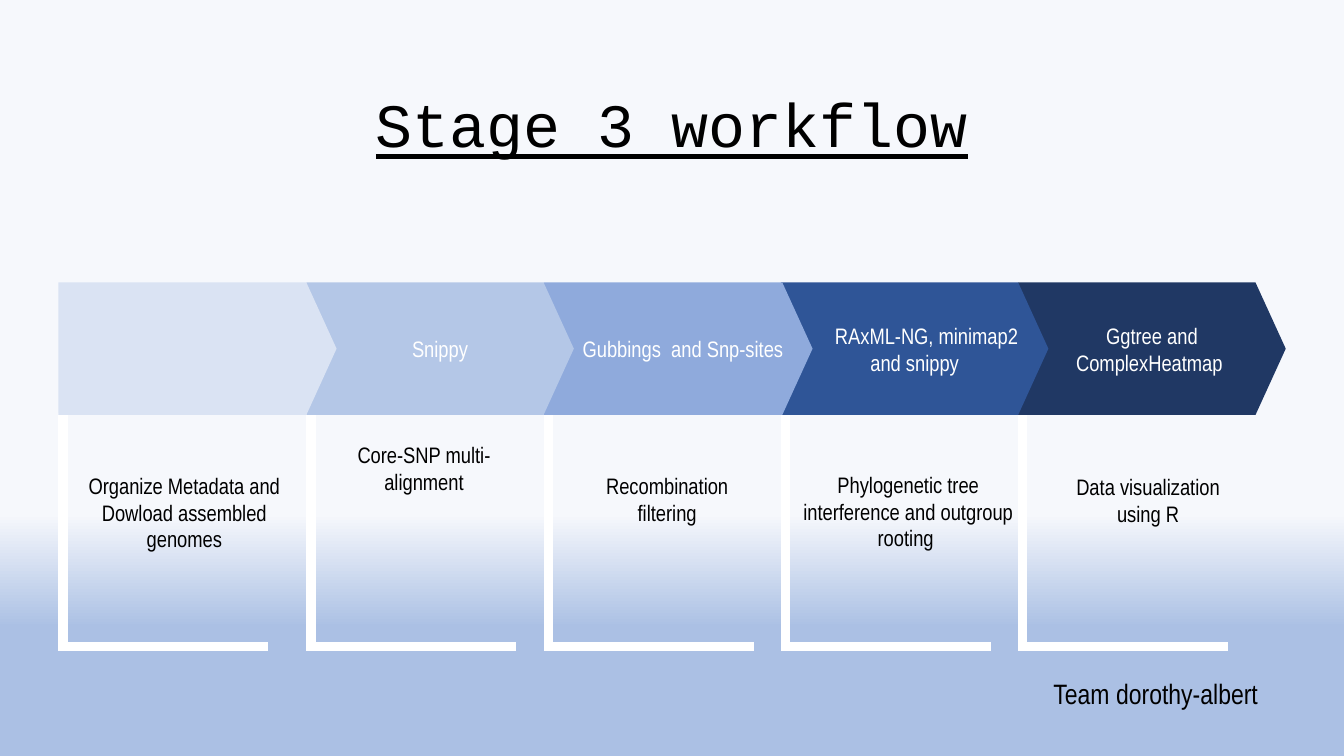
import pptx
import pptx.util
import pptx.dml.color
import pptx.enum.text

Pt = pptx.util.Pt
Align = pptx.enum.text.PP_ALIGN
Anchor = pptx.enum.text.MSO_ANCHOR

COLORS = {
    "sky": "F6F8FC", "haze": "ABC0E4", "white": "FFFFFF", "black": "000000",
    "step1": "DAE3F3", "step2": "B4C7E7", "step3": "8FAADC",
    "step4": "2F5597", "step5": "203864",
}
NARROW = "Arial Narrow"
TITLE = "Stage 3 workflow"
TEAM = "Team dorothy-albert"

STEPS = [
    {"label": "", "indent": 0, "extra": 0,
     "note": "Organize Metadata and Dowload assembled genomes",
     "box": (51.4, 327.6, 160.6, 117.4)},
    {"label": "Snippy", "indent": 0, "extra": 0,
     "note": "Core-SNP multi-alignment",
     "box": (234.5, 306, 136.8, 75.6)},
    {"label": "Gubbings  and Snp-sites", "indent": 7, "extra": 1,
     "note": "Recombination filtering",
     "box": (408.2, 327.6, 136.8, 75.6)},
    {"label": "RAxML-NG, minimap2 and snippy", "indent": 17, "extra": 0,
     "note": "Phylogenetic tree interference and outgroup rooting ",
     "box": (563.8, 326.9, 169.9, 125.3)},
    {"label": "Ggtree and ComplexHeatmap ", "indent": 0, "extra": 0,
     "note": "Data visualization using R",
     "box": (751.7, 328.3, 136.8, 74.9)},
]

FIRST, SECOND, PITCH = 41.6, 218.8, 169.5
EDGES = [FIRST] + [SECOND + PITCH * i for i in range(len(STEPS))]
TOP, HIGH, TIP = 201.7, 94.7, 21.6
STEM, DROP, BASE, REACH, THICK = 295.2, 166.6, 458.5, 150, 6.6
INSET = 9.4


def color(name):
    return pptx.dml.color.RGBColor.from_string(COLORS[name])


def outline(slide, points, fill):
    spots = [(Pt(x), Pt(y)) for x, y in points]
    form = slide.shapes.build_freeform(*spots[0])
    form.add_line_segments(spots[1:], close=True)
    shape = form.convert_to_shape()
    shape.shadow.inherit = False
    shape.fill.solid()
    shape.fill.fore_color.rgb = color(fill)
    shape.line.fill.background()
    return shape


def write(shape, text, size, tint, font=NARROW, align=Align.CENTER,
          anchor=Anchor.TOP, inset=INSET):
    frame = shape.text_frame
    frame.word_wrap = True
    frame.auto_size = pptx.enum.text.MSO_AUTO_SIZE.NONE
    frame.vertical_anchor = anchor
    if inset:
        frame.margin_left = frame.margin_right = Pt(inset)
        frame.margin_top = frame.margin_bottom = Pt(inset)
    para = frame.paragraphs[0]
    para.alignment = align
    run = para.add_run()
    run.text = text
    run.font.name = font
    run.font.size = Pt(size)
    run.font.color.rgb = color(tint)
    return para


def bar(slide, left, top, width, height):
    right, low = left + width, top + height
    outline(slide, [(left, top), (left, low), (right, low), (right, top)],
            "white")


def chevron(slide, index, step):
    left, right = EDGES[index], EDGES[index + 1] + step["extra"]
    low = TOP + HIGH
    shape = outline(slide, [(left, TOP), (left, low), (right, low),
                            (right + TIP, TOP + HIGH / 2), (right, TOP)],
                    f"step{index + 1}")
    if step["label"]:
        para = write(shape, step["label"], 16, "white", anchor=Anchor.MIDDLE)
        if step["indent"]:
            para._p.get_or_add_pPr().set("indent", str(Pt(step["indent"])))


def paint(slide):
    fill = slide.background.fill
    fill.gradient()
    fill.gradient_angle = 270
    for stop, (place, name) in zip(fill.gradient_stops,
                                   [(0.68, "sky"), (0.83, "haze")]):
        stop.position = place
        stop.color.rgb = color(name)


def main():
    deck = pptx.Presentation()
    deck.slide_width, deck.slide_height = Pt(960), Pt(540)
    slide = deck.slides.add_slide(deck.slide_layouts[5])
    paint(slide)

    title = slide.shapes.title
    title.left, title.top = Pt(32.8), Pt(57.6)
    title.width, title.height = Pt(894.2), Pt(60.5)
    para = write(title, TITLE, 44, "black", font="Courier New")
    para.line_spacing = 0.9
    para.runs[0].font.underline = True

    for left in reversed(EDGES[:-1]):
        bar(slide, left, STEM, THICK, DROP)
        bar(slide, left, BASE, REACH, THICK)
    for index, step in reversed(list(enumerate(STEPS))):
        chevron(slide, index, step)
    for step in STEPS:
        box = slide.shapes.add_textbox(*map(Pt, step["box"]))
        write(box, step["note"], 16, "black")

    team = slide.shapes.add_textbox(Pt(745.4), Pt(479.5), Pt(177.1), Pt(31.7))
    write(team, TEAM, 20, "black", align=Align.LEFT, inset=0)
    deck.save("out.pptx")


if __name__ == "__main__":
    main()
